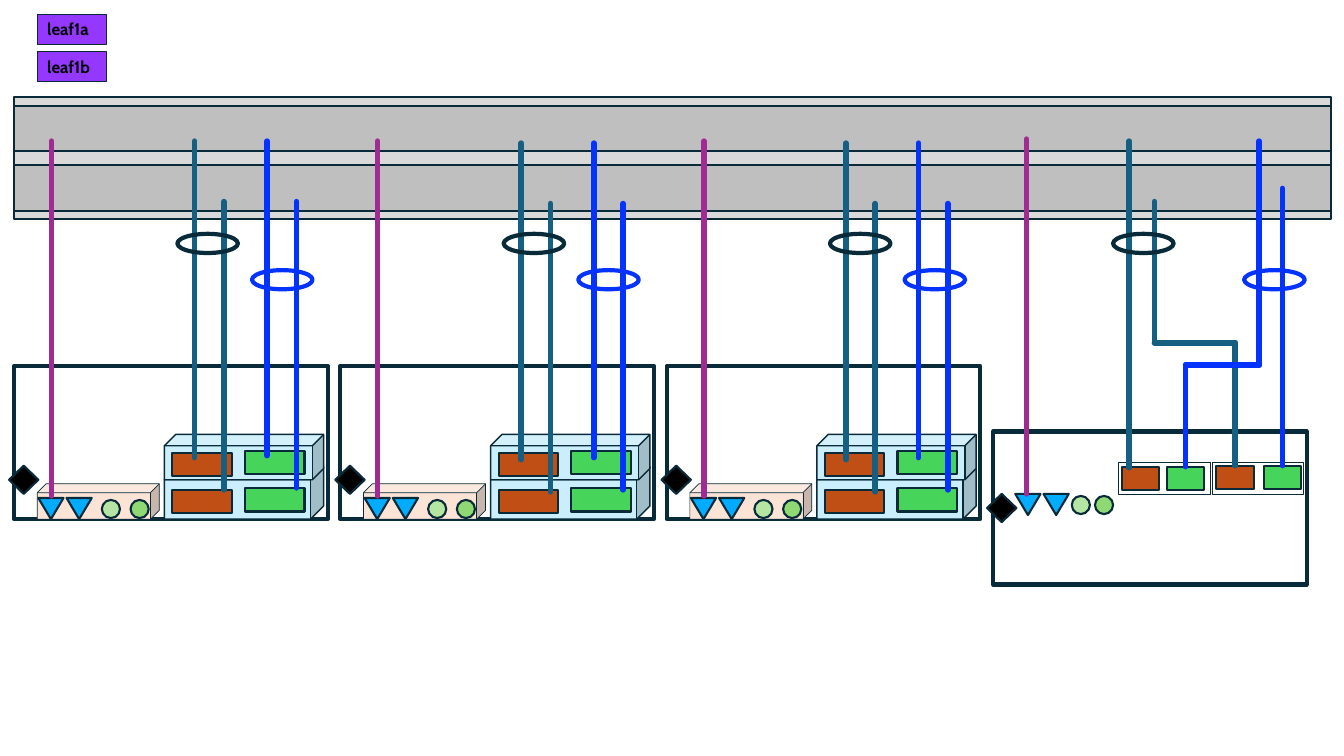
from pptx import Presentation
from pptx.dml.color import RGBColor
from pptx.enum.shapes import MSO_CONNECTOR, MSO_SHAPE
from pptx.enum.text import MSO_ANCHOR, PP_ALIGN
from pptx.oxml.ns import qn
from pptx.util import Inches, Pt
from lxml.etree import SubElement

INK = RGBColor(0x09, 0x2A, 0x39)
BLACK = RGBColor(0x00, 0x00, 0x00)
LIGHT_GRAY = RGBColor(0xD9, 0xD9, 0xD9)
GRAY = RGBColor(0xBF, 0xBF, 0xBF)
VIOLET = RGBColor(0x94, 0x37, 0xFF)
ICE = RGBColor(0xCA, 0xEE, 0xFB)
PEACH = RGBColor(0xFB, 0xE3, 0xD6)
RUST = RGBColor(0xC0, 0x4F, 0x15)
GREEN = RGBColor(0x47, 0xD4, 0x5A)
SKY = RGBColor(0x00, 0xAC, 0xFF)
PALE_GREEN = RGBColor(0xB4, 0xE5, 0xA2)
LEAF_GREEN = RGBColor(0x8E, 0xD9, 0x73)
BLUE = RGBColor(0x04, 0x32, 0xFF)
TEAL = RGBColor(0x15, 0x60, 0x82)
PURPLE = RGBColor(0xA0, 0x2B, 0x93)

CELL = Inches(0.1)
RACK_PITCH = 32.36
RACKS = 3


def add_text(tf, text, font="Cabin", size=12, bold=True, color=BLACK):
    tf.word_wrap = False
    tf.vertical_anchor = MSO_ANCHOR.MIDDLE
    p = tf.paragraphs[0]
    p.alignment = PP_ALIGN.LEFT
    r = p.add_run()
    r.text = text
    r.font.name, r.font.size, r.font.bold = font, Pt(size), bold
    r.font.color.rgb = color


class Diagram:
    def __init__(self, s):
        self.s = s
        self.shapes = s.shapes

    def group(self):
        self.shapes = self.s.shapes.add_group_shape().shapes

    def ungroup(self):
        self.shapes = self.s.shapes

    def shape(self, kind, col, row, cols, rows, fill=None, line=INK, width=1.5):
        sp = self.shapes.add_shape(kind, *(round(v * CELL) for v in (col, row, cols, rows)))
        sp.shadow.inherit = False
        if fill is None:
            sp.fill.background()
        else:
            sp.fill.solid()
            sp.fill.fore_color.rgb = fill
        sp.line.color.rgb = line
        sp.line.width = Pt(width)
        return sp

    def box(self, *area, **style):
        return self.shape(MSO_SHAPE.RECTANGLE, *area, **style)

    def cube(self, *area, **style):
        return self.shape(MSO_SHAPE.CUBE, *area, **style)

    def ring(self, col, row, color):
        self.shape(MSO_SHAPE.OVAL, col, row, 6, 1.9, line=color, width=3)

    def label(self, row, text):
        add_text(self.box(3.7, row, 6.8, 3, fill=VIOLET, width=0.25).text_frame, text)

    def ports(self, col, row, light, step):
        for i in range(2):
            sp = self.shape(MSO_SHAPE.ISOSCELES_TRIANGLE, col + 2.8 * i, row, 2.5, 2.1, fill=SKY)
            sp.rotation = 180
        for i, color in enumerate((PALE_GREEN, LEAF_GREEN)):
            self.shape(MSO_SHAPE.OVAL, col + light + step * i, row + 0.2, 1.8, 1.8, fill=color)

    def diamond(self, col, row):
        self.shape(MSO_SHAPE.DIAMOND, col, row, 2.9, 2.8, fill=BLACK)

    def frame(self, col, row):
        self.box(col, row, 31.1, 15.2, width=3)

    def wire(self, col1, row1, col2, row2, color, port=None):
        ends = (round(v * CELL) for v in (col1, row1, col2, row2))
        c = self.shapes.add_connector(MSO_CONNECTOR.STRAIGHT, *ends)
        if port is not None:
            c.end_connect(port, 0)
        c.line.color.rgb = color
        c.line.width = Pt(4)
        spPr = c._element.spPr
        spPr.find(qn("a:ln")).set("cap", "rnd")
        SubElement(spPr, qn("a:effectLst"))

    def rack(self, col):
        self.group()
        self.frame(col, 36.3)
        for row, rows in ((46.3, 5.2), (43.1, 4.5)):
            self.cube(col + 14.9, row, 15.8, rows, fill=ICE, width=1)
        for row in (44.9, 48.6):
            self.box(col + 15.7, row, 5.9, 2.3, fill=RUST)
            self.box(col + 22.9, row - 0.15, 5.9, 2.3, fill=GREEN)
        self.cube(col + 2.3, 48, 12.1, 3.5, fill=PEACH, width=0.5)
        self.ports(col + 2.4, 49.4, 6.3, 2.85)
        self.diamond(col - 0.5, 46.2)
        self.ungroup()

    def wire_pair(self, col, row, drop, color):
        self.group()
        self.wire(col, row, col, row + drop, color)
        self.wire(col + 2.9, row + 6, col + 2.9, row + drop + 3.2, color)
        self.ungroup()


def main():
    prs = Presentation()
    prs.slide_width, prs.slide_height = Inches(13.33), Inches(7.5)
    d = Diagram(prs.slides.add_slide(prs.slide_layouts[6]))

    d.group()
    d.box(1.4, 9.6, 130.6, 12.1, fill=LIGHT_GRAY)
    for row in (10.5, 16.4):
        d.box(1.4, row, 130.6, 4.5, fill=GRAY)
    d.label(5.1, "leaf1b")
    d.label(1.4, "leaf1a")
    d.ungroup()

    for i in range(RACKS):
        d.rack(1.4 + RACK_PITCH * i)

    d.frame(98.5, 42.8)
    d.ports(100.7, 49, 5.6, 2.3)
    d.diamond(97.9, 49)
    rust_left = d.box(111.3, 46.3, 3.7, 2.3, fill=RUST)
    green_left = d.box(115.75, 46.3, 3.7, 2.3, fill=GREEN)
    rust_right = d.box(120.65, 46.2, 3.7, 2.3, fill=RUST)
    green_right = d.box(125.35, 46.2, 3.7, 2.3, fill=GREEN)
    for col in (110.9, 120.2):
        d.box(col, 45.9, 9.1, 3.1, width=0.5)

    for shift, row in ((0, 14), (32.4, 14.2), (64.6, 14.2)):
        d.wire_pair(26.5 + shift, row, 31.2, BLUE)
        d.wire_pair(19.3 + shift, row, 31.4, TEAL)

    d.wire(112, 14, 112, 46.4, TEAL)
    d.wire(114.5, 20, 114.5, 34, TEAL)
    d.wire(114.5, 34, 122.5, 34, TEAL)
    d.wire(122.5, 34, 122.5, 46.2, TEAL, port=rust_right)
    d.wire(124.9, 14, 124.9, 36.2, BLUE)
    d.wire(124.9, 36.2, 117.6, 36.2, BLUE)
    d.wire(117.6, 36.2, 117.6, 46.3, BLUE, port=green_left)
    d.wire(127.2, 18.7, 127.2, 46.2, BLUE, port=green_right)

    for i in range(RACKS):
        shift = RACK_PITCH * i
        d.ring(17.6 + shift, 23.2, INK)
        d.ring(25 + shift, 26.8, BLUE)
        d.wire(5.1 + shift, 14, 5.1 + shift, 49.2, PURPLE)
    d.wire(101.8, 13.8, 101.8, 49, PURPLE)
    d.ring(110.4, 23.2, INK)
    d.ring(123.4, 26.8, BLUE)

    prs.save("out.pptx")


if __name__ == "__main__":
    main()
